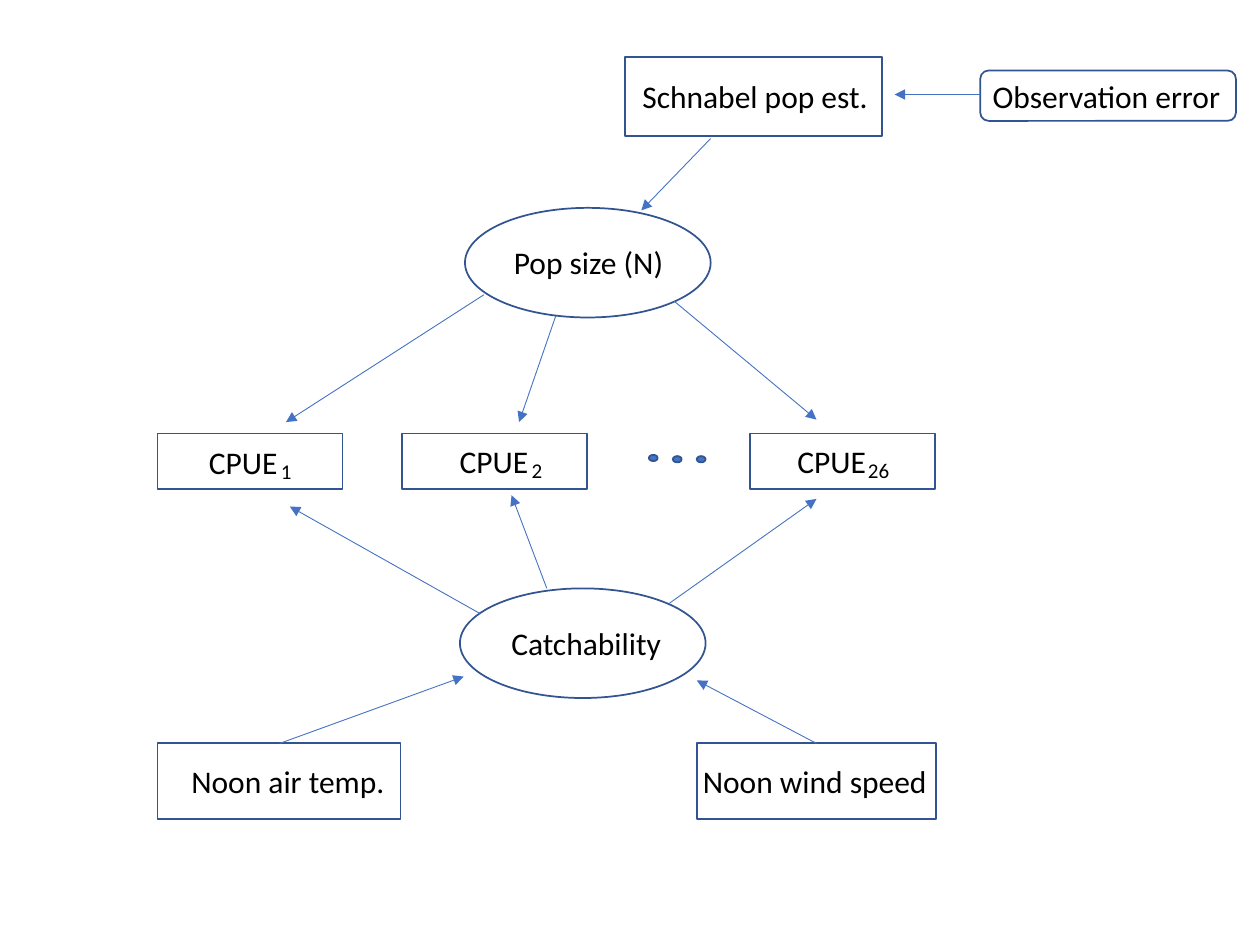
from dataclasses import dataclass

from lxml import etree
from pptx import Presentation
from pptx.dml.color import RGBColor
from pptx.enum.shapes import MSO_CONNECTOR, MSO_SHAPE
from pptx.enum.text import MSO_AUTO_SIZE
from pptx.oxml.ns import qn
from pptx.util import Inches, Pt

RECTANGLE = MSO_SHAPE.RECTANGLE
ROUNDED = MSO_SHAPE.ROUNDED_RECTANGLE
OVAL = MSO_SHAPE.OVAL
STRAIGHT = MSO_CONNECTOR.STRAIGHT
GROW = MSO_AUTO_SIZE.SHAPE_TO_FIT_TEXT
COLUMNS, ROWS = 100, 75


@dataclass(frozen=True)
class Theme:
    font: str = "Calibri"
    text: RGBColor = RGBColor(0, 0, 0)
    outline: RGBColor = RGBColor(0x32, 0x54, 0x91)
    accent: RGBColor = RGBColor(0x44, 0x72, 0xC4)
    label_size: int = 18
    index_size: int = 12
    outline_width: float = 1
    arrow_width: float = 0.5


class Diagram:
    def __init__(self, deck, theme):
        self.theme = theme
        self.page = deck.slides.add_slide(deck.slide_layouts[6])
        self.column = deck.slide_width / COLUMNS
        self.row = deck.slide_height / ROWS

    def place(self, *lengths):
        units = (self.column, self.row) * 2
        return [round(length * unit) for length, unit in zip(lengths, units)]

    def box(self, kind, left, top, width, height, filled=False):
        box = self.page.shapes.add_shape(kind, *self.place(left, top, width, height))
        box.shadow.inherit = False
        if filled:
            box.fill.solid()
            box.fill.fore_color.rgb = self.theme.accent
        else:
            box.fill.background()
        box.line.color.rgb = self.theme.outline
        box.line.width = Pt(self.theme.outline_width)

    def label(self, text, left, top, width, height=4, size=None, wrap=False):
        box = self.page.shapes.add_textbox(*self.place(left, top, width, height))
        frame = box.text_frame
        frame.word_wrap = wrap
        frame.auto_size = GROW
        span = frame.paragraphs[0].add_run()
        span.text = text
        span.font.name = self.theme.font
        span.font.size = Pt(size or self.theme.label_size)
        span.font.color.rgb = self.theme.text

    def indexed(self, text, index, left, top, index_left, index_width):
        self.label(text, left, top, 7.5)
        self.label(index, index_left, top + 1.2, index_width, 3, self.theme.index_size)

    def arrow(self, start, end):
        arrow = self.page.shapes.add_connector(STRAIGHT, *self.place(*start, *end))
        arrow.line.color.rgb = self.theme.accent
        arrow.line.width = Pt(self.theme.arrow_width)
        properties = arrow.element.spPr
        outline = properties.find(qn("a:ln"))
        etree.SubElement(outline, qn("a:tailEnd"), type="triangle")
        etree.SubElement(properties, qn("a:effectLst"))


def main():
    deck = Presentation()
    deck.slide_width, deck.slide_height = Inches(10), Inches(7.5)
    diagram = Diagram(deck, Theme())

    for step, top in enumerate((36.1, 36.2, 36.2)):
        diagram.box(OVAL, 51.5 + 1.9 * step, top, 0.7, 0.5, filled=True)

    for text, left, top, text_left in (
        ("Pop size (N)", 36.9, 16.5, 39.8),
        ("Catchability", 36.5, 46.7, 39.6),
    ):
        diagram.box(OVAL, left, top, 19.5, 8.7)
        diagram.label(text, text_left, top + 2.3, 14)

    diagram.box(RECTANGLE, 49.6, 4.5, 20.4, 6.3)
    diagram.label("Schnabel pop est.", 50, 5.6, 20.4, wrap=True)

    for index, left, text_left, text_top, index_left, index_width in (
        ("1", 12.5, 15.6, 34.7, 21.3, 2.9),
        ("2", 31.9, 35.5, 34.6, 41.2, 2.9),
        ("26", 59.5, 62.3, 34.6, 67.9, 3.7),
    ):
        diagram.box(RECTANGLE, left, 34.4, 14.7, 4.4)
        diagram.indexed("CPUE", index, text_left, text_top, index_left, index_width)

    for text, left, width, text_left, text_width in (
        ("Noon air temp.", 12.5, 19.3, 14.2, 17.5),
        ("Noon wind speed", 55.3, 19, 54.8, 20),
    ):
        diagram.box(RECTANGLE, left, 59, width, 6)
        diagram.label(text, text_left, 60, text_width)

    observation = (77.8, 5.6, 20.3, 4)
    diagram.box(ROUNDED, *observation)
    diagram.label("Observation error", *observation)

    for start, end in (
        ((56.4, 11), (50.9, 16.7)),
        ((38.4, 23.4), (22.7, 33.5)),
        ((44.1, 25.1), (41.2, 33.5)),
        ((53.5, 23.9), (64.8, 33.3)),
        ((38.1, 48.7), (23, 40.2)),
        ((43.4, 46.7), (40.6, 39.3)),
        ((53.1, 47.9), (64.8, 39.6)),
        ((64.8, 59), (55.3, 54)),
        ((22.2, 59), (36.8, 53.7)),
        ((77.8, 7.5), (71, 7.5)),
    ):
        diagram.arrow(start, end)

    deck.save("out.pptx")


if __name__ == "__main__":
    main()
